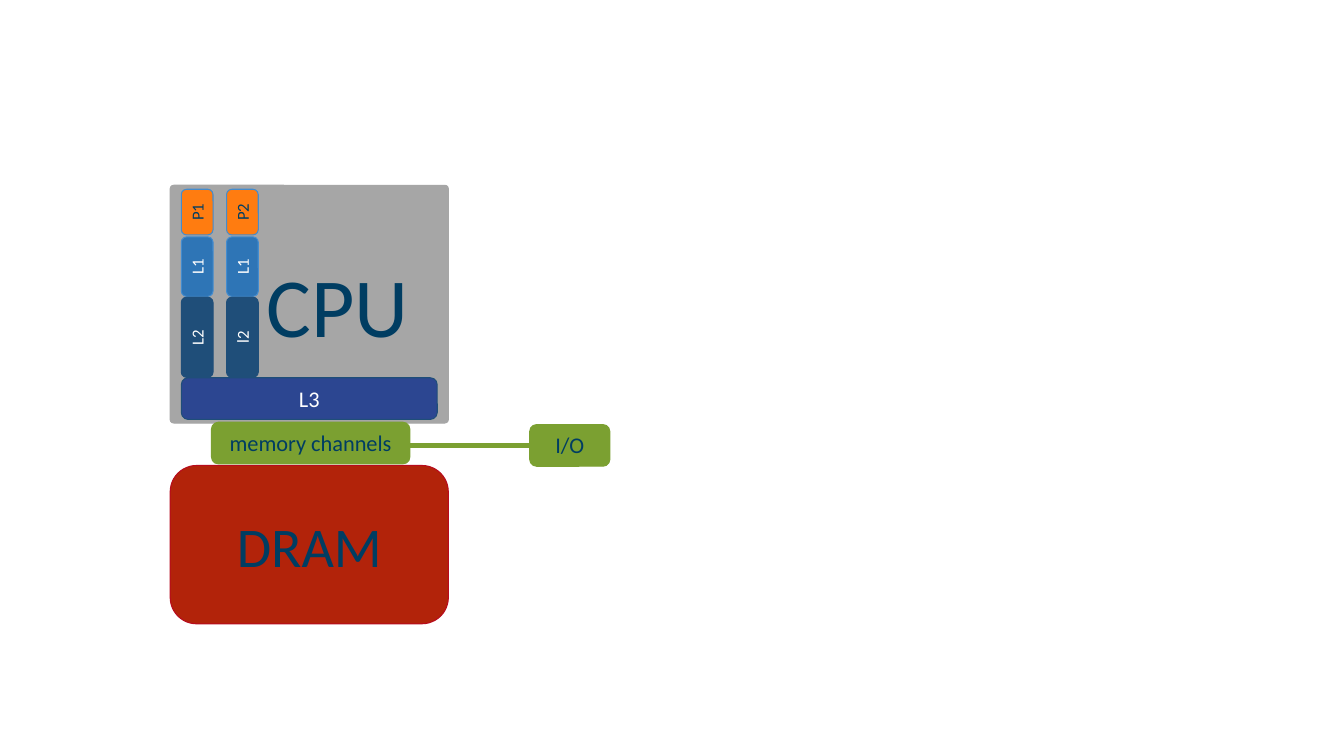
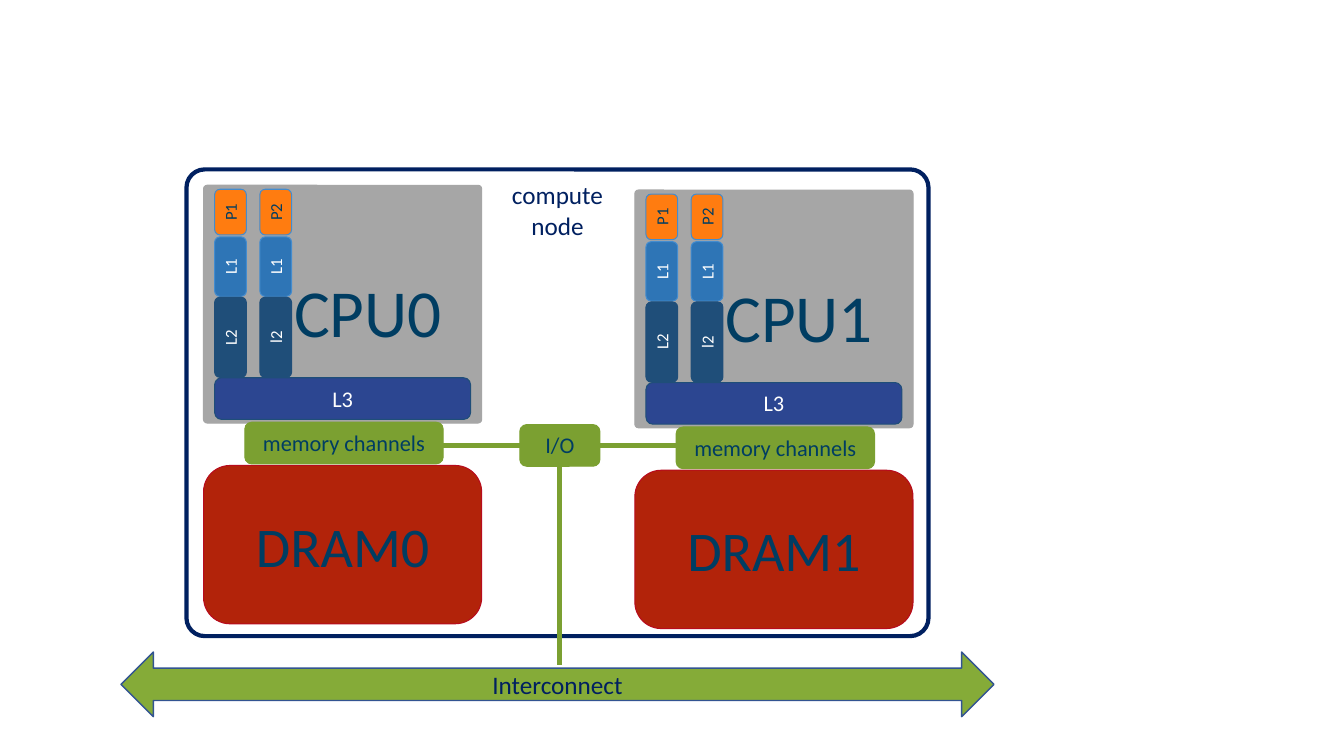
from dataclasses import dataclass

from lxml import etree
from pptx import Presentation
from pptx.dml.color import RGBColor
from pptx.enum.shapes import MSO_CONNECTOR, MSO_SHAPE
from pptx.enum.text import MSO_ANCHOR as Anchor, MSO_AUTO_SIZE as AutoSize, PP_ALIGN as Align
from pptx.oxml.ns import qn
from pptx.util import Cm, Pt


@dataclass(frozen=True)
class Theme:
    font: str = "Calibri"
    ink: str = "003D62"
    navy: str = "002060"
    white: str = "FFFFFF"
    chip: str = "A6A6A6"
    core: str = "FF7C10"
    l1: str = "2E75B6"
    cache_edge: str = "438CCF"
    l2: str = "1F4E79"
    l3: str = "2C4691"
    dram: str = "B2230A"
    dram_edge: str = "B80B1D"
    channel: str = "7BA031"
    interconnect: str = "85AB38"
    interconnect_edge: str = "325491"
    core_size: int = 12
    part_size: int = 16
    node_size: int = 18
    dram_size: int = 40
    cpu_size: int = 60
    numbered_cpu_size: int = 48
    edge: float = 0.75
    link: float = 3.6


T = Theme()


def add_box(slide, at, text, size, fill, edge, ink=T.ink, preset=MSO_SHAPE.ROUNDED_RECTANGLE,
            edge_width=T.edge, anchor=Anchor.TOP, corner=None, vertical=False):
    """Add a labelled shape; at is left, top, width, height in centimetres."""
    box = slide.shapes.add_shape(preset, *(Cm(length) for length in at))
    box.shadow.inherit = False
    box.fill.solid()
    box.fill.fore_color.rgb = RGBColor.from_string(fill)
    box.line.color.rgb = RGBColor.from_string(edge)
    box.line.width = Pt(edge_width)
    if corner is not None:
        box.adjustments[0] = corner
    frame = box.text_frame
    frame.word_wrap = True
    frame.vertical_anchor = anchor
    frame.margin_left = frame.margin_right = Cm(0.1)
    if vertical:
        frame._txBody.bodyPr.set("vert", "vert270")
    frame.text = text
    for paragraph in frame.paragraphs:
        paragraph.alignment = Align.CENTER
        for run in paragraph.runs:
            run.font.name = T.font
            run.font.size = Pt(size)
            run.font.color.rgb = RGBColor.from_string(ink)
    return box


# Parts of one core: label per core, top offset, height, fill, edge, ink
CORE_PARTS = [
    (("P1", "P2"), 0.1, 1.15, T.core, T.cache_edge, T.ink),
    (("L1", "L1"), 1.3, 1.5, T.l1, T.cache_edge, T.white),
    (("L2", "l2"), 2.82, 2.02, T.l2, T.l2, T.white),
]
CORE_LEFT, CORE_WIDTH, CORE_PITCH = 0.28, 0.8, 1.14
CPU_WIDTH = 7.01

# Left edge of the I/O box, then the number, left and top of each processor
SYSTEMS = [
    (13.35, [("", 4.29, 4.67)]),
    (13.1, [("0", 5.13, 4.67), ("1", 16, 4.79)]),
]

prs = Presentation()
prs.slide_width, prs.slide_height = Cm(33.87), Cm(19.05)

for io_left, processors in SYSTEMS:
    slide = prs.slides.add_slide(prs.slide_layouts[6])
    is_node = len(processors) > 1
    if is_node:
        add_box(slide, (4.7, 4.27, 18.7, 11.76), "compute\nnode", T.node_size, T.white, T.navy,
                T.navy, edge_width=3, corner=0.039)

    io = add_box(slide, (io_left, 10.7, 2.02, 1.05), "I/O", T.part_size, T.channel, T.channel)
    io_middle = io.top + io.height // 2
    links = []  # side of the I/O box, then the far end

    for number, left, top in processors:
        cpu_size = T.numbered_cpu_size if number else T.cpu_size
        cpu = add_box(slide, (left, top, CPU_WIDTH, 5.99), f"CPU{number}", cpu_size, T.chip, T.chip,
                      anchor=Anchor.MIDDLE, corner=0.015)
        cpu.text_frame.margin_left, cpu.text_frame.margin_right = Cm(0.25), Cm(0.5)
        cpu_label = cpu.text_frame.paragraphs[0]
        cpu_label.alignment = Align.RIGHT
        spacer = cpu_label.add_run()
        spacer.text = " "
        spacer.font.name = T.font
        spacer.font.size = Pt(T.cpu_size)

        for labels, offset, height, fill, edge, ink in CORE_PARTS:
            for core, label in enumerate(labels):
                part_left = left + CORE_LEFT + core * CORE_PITCH
                part = add_box(slide, (part_left, top + offset, CORE_WIDTH, height), label,
                               T.core_size, fill, edge, ink, vertical=True)
                part.text_frame.auto_size = AutoSize.SHAPE_TO_FIT_TEXT

        add_box(slide, (left + CORE_LEFT, top + 4.85, CPU_WIDTH - 2 * CORE_LEFT, 1.05), "L3",
                T.part_size, T.l3, T.l2, T.white)
        add_box(slide, (left, top + 7.06, CPU_WIDTH, 3.99), f"DRAM{number}", T.dram_size,
                T.dram, T.dram_edge, anchor=Anchor.MIDDLE)
        channels = add_box(slide, (left + 1.04, top + 5.97, 5, 1.05), "memory channels",
                           T.part_size, T.channel, T.channel)
        if channels.left < io.left:
            links.append((1, channels.left + channels.width, io_middle))
        else:
            links.append((3, channels.left, io_middle))

    if is_node:
        add_box(slide, (3.05, 16.43, 22, 1.63), "Interconnect", T.node_size, T.interconnect,
                T.interconnect_edge, T.navy, MSO_SHAPE.LEFT_RIGHT_ARROW, edge_width=1,
                anchor=Anchor.MIDDLE)
        links.append((2, io.left + io.width // 2, Cm(16.76)))

    for side, end_x, end_y in links:
        link = slide.shapes.add_connector(MSO_CONNECTOR.STRAIGHT, io.left, io.top, end_x, end_y)
        link.begin_connect(io, side)
        link.line.color.rgb = RGBColor.from_string(T.channel)
        link.line.width = Pt(T.link)
        etree.SubElement(link._element.spPr, qn("a:effectLst"))

prs.save("out.pptx")
